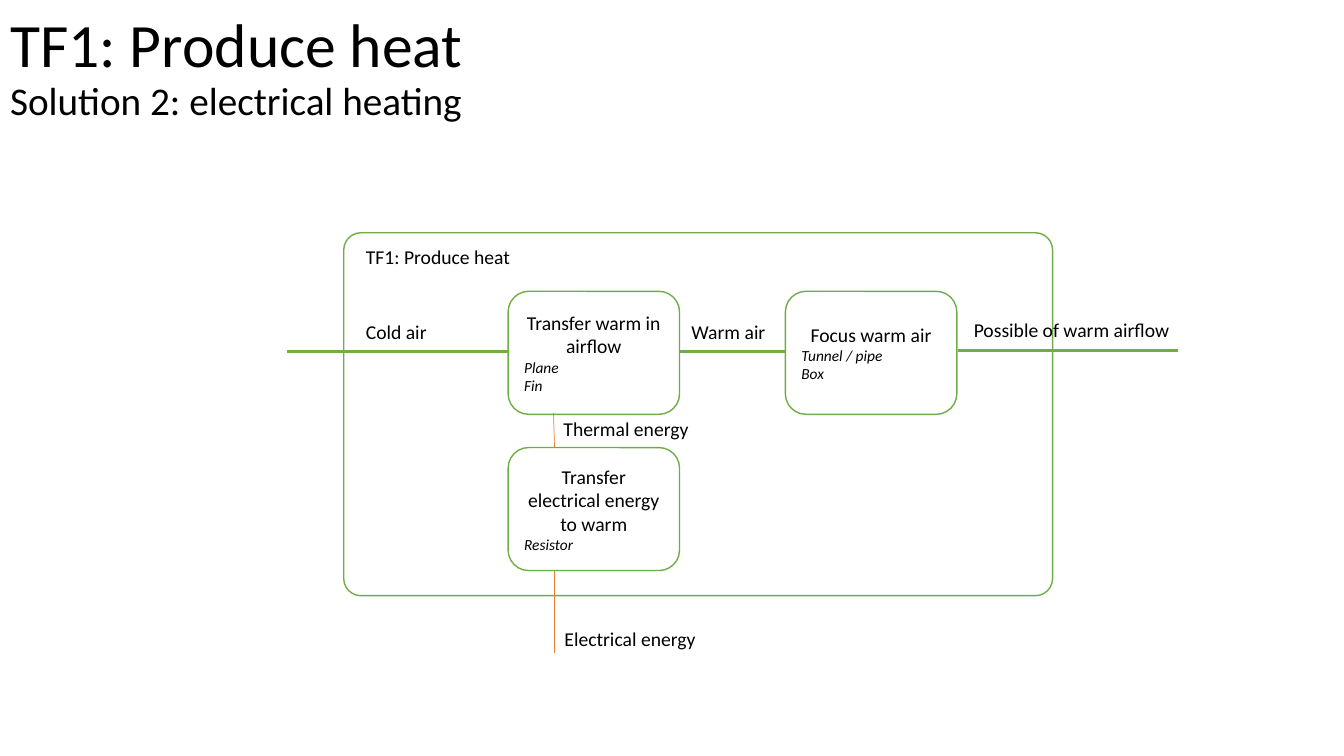
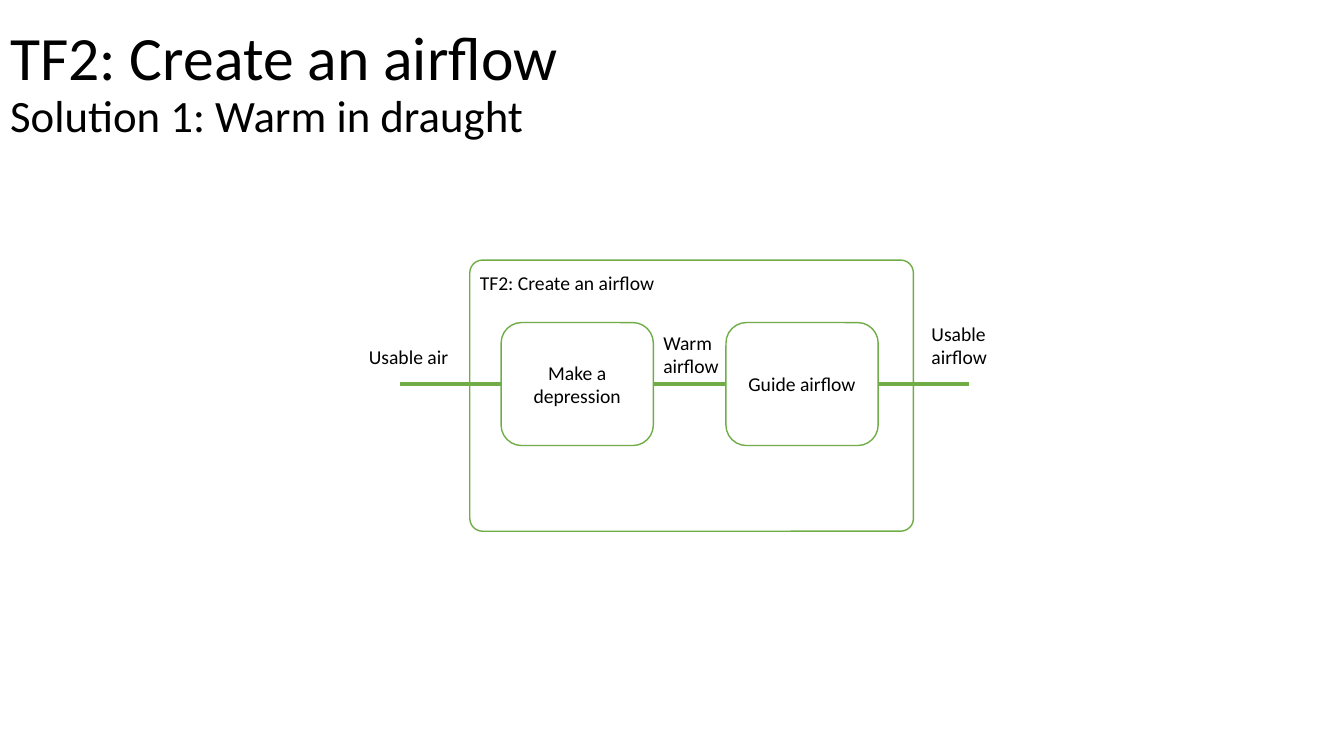
from dataclasses import dataclass

import pptx
import pptx.dml.color
import pptx.enum.shapes
import pptx.enum.text
import pptx.oxml
import pptx.oxml.ns
import pptx.presentation
import pptx.shapes.autoshape
import pptx.slide
import pptx.text.text
import pptx.util
from pptx.dml.color import RGBColor
from pptx.enum.text import MSO_ANCHOR, MSO_AUTO_SIZE, PP_ALIGN
from pptx.util import Inches, Pt

GREEN = RGBColor(0x70, 0xAD, 0x47)
ORANGE = RGBColor(0xED, 0x7D, 0x31)
BLACK = RGBColor(0, 0, 0)
WHITE = RGBColor(255, 255, 255)
FONT = "Calibri"
TITLE_SIZE = 44
LABEL_SIZE = 14
OPTION_SIZE = 11
BOX_HEIGHT = 1.22
FRAME_ROUNDING = 0.047
AIR_WIDTH = 2.25
ENERGY_WIDTH = 0.5


@dataclass(frozen=True)
class Title:
    top: float
    heading: str
    solution: str
    solution_size: int


@dataclass(frozen=True)
class Frame:
    left: float
    top: float
    width: float
    height: float


@dataclass(frozen=True)
class FunctionBox:
    left: float
    top: float
    width: float
    name: str
    options: tuple[str, ...] = ()


@dataclass(frozen=True)
class Flow:
    start: tuple[float, float]
    end: tuple[float, float]
    color: RGBColor = GREEN
    weight: float = AIR_WIDTH


@dataclass(frozen=True)
class Label:
    left: float
    top: float
    width: float
    text: str
    height: float = 0.34


@dataclass(frozen=True)
class Diagram:
    title: Title
    frame: Frame
    boxes: tuple[FunctionBox, ...]
    flows: tuple[Flow, ...]
    labels: tuple[Label, ...]


def format_run(run: pptx.text.text._Run, size: float, italic: bool = False) -> None:
    run.font.name = FONT
    run.font.size = Pt(size)
    run.font.color.rgb = BLACK
    run.font.italic = italic


def draw_title(slide: pptx.slide.Slide, title: Title) -> None:
    shape = slide.shapes.title
    shape.left, shape.top = Inches(0), Inches(title.top)
    shape.width, shape.height = Inches(11.5), Inches(1.45)
    text_frame = shape.text_frame
    text_frame.text = f"{title.heading}\v{title.solution}"
    text_frame.auto_size = MSO_AUTO_SIZE.NONE
    text_frame.vertical_anchor = MSO_ANCHOR.MIDDLE
    paragraph = text_frame.paragraphs[0]
    paragraph.alignment = PP_ALIGN.LEFT
    paragraph.line_spacing = 0.9
    for run, size in zip(paragraph.runs, (TITLE_SIZE, title.solution_size)):
        format_run(run, size)


def add_rounded(slide: pptx.slide.Slide, left: float, top: float,
                width: float, height: float) -> pptx.shapes.autoshape.Shape:
    shape = slide.shapes.add_shape(
        pptx.enum.shapes.MSO_SHAPE.ROUNDED_RECTANGLE,
        Inches(left), Inches(top), Inches(width), Inches(height))
    shape.shadow.inherit = False
    shape.line.color.rgb = GREEN
    shape.line.width = Pt(1)
    return shape


def draw_frame(slide: pptx.slide.Slide, frame: Frame) -> None:
    shape = add_rounded(slide, frame.left, frame.top, frame.width, frame.height)
    shape.adjustments[0] = FRAME_ROUNDING
    shape.fill.solid()
    shape.fill.fore_color.rgb = WHITE


def draw_box(slide: pptx.slide.Slide, box: FunctionBox) -> None:
    shape = add_rounded(slide, box.left, box.top, box.width, BOX_HEIGHT)
    shape.fill.background()
    text_frame = shape.text_frame
    text_frame.word_wrap = True
    text_frame.vertical_anchor = MSO_ANCHOR.MIDDLE
    text_frame.text = "\n".join((box.name, *box.options))
    name, *options = text_frame.paragraphs
    name.alignment = PP_ALIGN.CENTER
    format_run(name.runs[0], LABEL_SIZE)
    for option in options:
        option.alignment = PP_ALIGN.LEFT
        format_run(option.runs[0], OPTION_SIZE, italic=True)


def draw_flow(slide: pptx.slide.Slide, flow: Flow) -> None:
    connector = slide.shapes.add_connector(
        pptx.enum.shapes.MSO_CONNECTOR.STRAIGHT,
        *map(Inches, (*flow.start, *flow.end)))
    connector.line.color.rgb = flow.color
    connector.line.width = Pt(flow.weight)
    properties = connector._element.spPr
    properties.append(pptx.oxml.parse_xml(
        f"<a:effectLst {pptx.oxml.ns.nsdecls('a')}/>"))


def draw_label(slide: pptx.slide.Slide, label: Label) -> None:
    text_box = slide.shapes.add_textbox(
        Inches(label.left), Inches(label.top),
        Inches(label.width), Inches(label.height))
    text_frame = text_box.text_frame
    text_frame.word_wrap = True
    text_frame.auto_size = MSO_AUTO_SIZE.SHAPE_TO_FIT_TEXT
    text_frame.text = label.text
    format_run(text_frame.paragraphs[0].runs[0], LABEL_SIZE)


def draw_diagram(presentation: pptx.presentation.Presentation, diagram: Diagram) -> None:
    layout = presentation.slide_layouts.get_by_name("Title Only")
    slide = presentation.slides.add_slide(layout)
    draw_title(slide, diagram.title)
    draw_frame(slide, diagram.frame)
    for box in diagram.boxes:
        draw_box(slide, box)
    for flow in diagram.flows:
        draw_flow(slide, flow)
    for label in diagram.labels:
        draw_label(slide, label)


PRODUCE_HEAT = Diagram(
    title=Title(-0.04, "TF1: Produce heat", "Solution 2: electrical heating", 28),
    frame=Frame(3.41, 2.31, 7.03, 3.6),
    boxes=(
        FunctionBox(5.04, 4.44, 1.7, "Transfer electrical energy to warm", ("Resistor",)),
        FunctionBox(5.04, 2.89, 1.7, "Transfer warm in airflow", ("Plane", "Fin")),
        FunctionBox(7.79, 2.89, 1.7, "Focus warm air", ("Tunnel / pipe", "Box")),
    ),
    flows=(
        Flow((5.04, 3.49), (2.85, 3.49)),
        Flow((7.79, 3.49), (6.74, 3.49)),
        Flow((11.68, 3.48), (9.5, 3.48)),
        Flow((5.5, 6.48), (5.5, 5.66), ORANGE, ENERGY_WIDTH),
        Flow((5.5, 4.44), (5.49, 4.1), ORANGE, ENERGY_WIDTH),
    ),
    labels=(
        Label(3.53, 2.38, 2.31, "TF1: Produce heat"),
        Label(3.53, 3.12, 1.06, "Cold air"),
        Label(6.76, 3.12, 1.06, "Warm air"),
        Label(9.56, 3.11, 2.33, "Possible of warm airflow"),
        Label(5.49, 4.09, 1.61, "Thermal energy"),
        Label(5.5, 6.17, 1.61, "Electrical energy"),
    ),
)

CREATE_AIRFLOW = Diagram(
    title=Title(0.12, "TF2: Create an airflow", "Solution 1: Warm in draught", 32),
    frame=Frame(4.66, 2.58, 4.4, 2.69),
    boxes=(
        FunctionBox(4.97, 3.2, 1.51, "Make a depression"),
        FunctionBox(7.2, 3.2, 1.51, "Guide airflow"),
    ),
    flows=(
        Flow((4.97, 3.81), (3.97, 3.81)),
        Flow((7.2, 3.81), (6.48, 3.81)),
        Flow((9.61, 3.81), (8.71, 3.81)),
    ),
    labels=(
        Label(4.66, 2.64, 2.31, "TF2: Create an airflow"),
        Label(3.56, 3.37, 1.06, "Usable air"),
        Label(6.48, 3.23, 0.95, "Warm airflow", 0.57),
        Label(9.14, 3.14, 0.95, "Usable airflow", 0.57),
    ),
)


def main() -> None:
    presentation = pptx.Presentation()
    presentation.slide_width = Inches(13.33)
    presentation.slide_height = Inches(7.5)
    for diagram in (PRODUCE_HEAT, CREATE_AIRFLOW):
        draw_diagram(presentation, diagram)
    presentation.save("out.pptx")


main()
